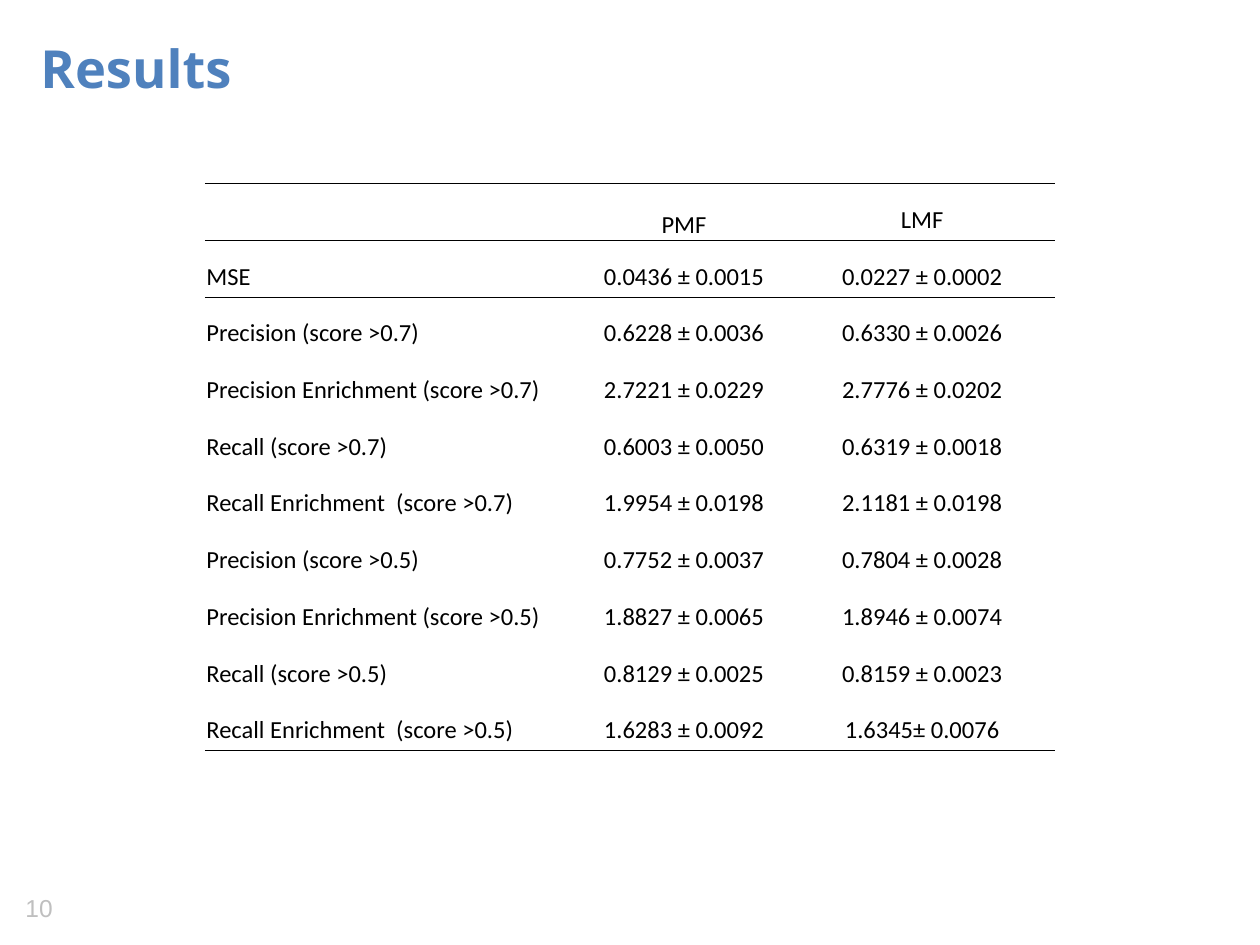
from lxml import etree
from pptx import Presentation
from pptx.dml.color import RGBColor
from pptx.enum.text import MSO_ANCHOR, PP_ALIGN
from pptx.oxml.ns import qn
from pptx.util import Cm, Pt

LEFT, CENTER = PP_ALIGN.LEFT, PP_ALIGN.CENTER
TOP, MIDDLE, BOTTOM = MSO_ANCHOR.TOP, MSO_ANCHOR.MIDDLE, MSO_ANCHOR.BOTTOM
BLUE = RGBColor(0x4F, 0x81, 0xBD)
GREY = RGBColor(0xBF, 0xBF, 0xBF)
BLACK = RGBColor(0, 0, 0)
PLAIN_TABLE_STYLE = "{2D5ABB26-0587-4C30-8999-92F81FD0307C}"

TITLE = "Results"
PAGE_NUMBER = "10"
RESULTS = [
    ("", "PMF", "LMF"),
    ("MSE", "0.0436 ± 0.0015", "0.0227 ± 0.0002"),
    ("Precision (score >0.7)", "0.6228 ± 0.0036", "0.6330 ± 0.0026"),
    ("Precision Enrichment (score >0.7)", "2.7221 ± 0.0229", "2.7776 ± 0.0202"),
    ("Recall (score >0.7)", "0.6003 ± 0.0050", "0.6319 ± 0.0018"),
    ("Recall Enrichment  (score >0.7)", "1.9954 ± 0.0198", "2.1181 ± 0.0198"),
    ("Precision (score >0.5)", "0.7752 ± 0.0037", "0.7804 ± 0.0028"),
    ("Precision Enrichment (score >0.5)", "1.8827 ± 0.0065", "1.8946 ± 0.0074"),
    ("Recall (score >0.5)", "0.8129 ± 0.0025", "0.8159 ± 0.0023"),
    ("Recall Enrichment  (score >0.5)", "1.6283 ± 0.0092", "1.6345± 0.0076"),
]
COLUMN_WIDTHS = [Cm(7.54), Cm(4.24), Cm(5.36)]
ROW_HEIGHT = Cm(1.143)

TITLE_FONT = {"name": "Open Sans", "size": Pt(30), "bold": True}
NUMBER_FONT = {"name": "Arial", "size": Pt(14)}
TABLE_FONT = {"name": "Calibri", "size": Pt(14)}
CELL_MARGINS = {"margin_left": Cm(0.03), "margin_right": Cm(0.03),
                "margin_top": Cm(0.03), "margin_bottom": 0}
NO_MARGINS = dict.fromkeys(CELL_MARGINS, 0)


def set_all(target, values):
    for name, value in values.items():
        setattr(target, name, value)


def write(frame, text, font, color, align, spacing):
    para = frame.paragraphs[0]
    set_all(para, {"alignment": align, "line_spacing": spacing})
    span = para.add_run()
    span.text = text
    set_all(span.font, font)
    span.font.color.rgb = color


def add_rule(cell, side):
    line = etree.SubElement(cell._tc.get_or_add_tcPr(), qn(f"a:{side}"), w=str(Pt(0.5)))
    fill = etree.SubElement(line, qn("a:solidFill"))
    etree.SubElement(fill, qn("a:srgbClr"), val=str(BLACK))


def add_results(page):
    frame = page.shapes.add_table(
        len(RESULTS), len(COLUMN_WIDTHS), Cm(4.13), Cm(3.7),
        sum(COLUMN_WIDTHS), ROW_HEIGHT * len(RESULTS))
    table = frame.table
    set_all(table, {"first_row": False, "horz_banding": False})
    table._tbl.tblPr.find(qn("a:tableStyleId")).text = PLAIN_TABLE_STYLE
    for column, width in zip(table.columns, COLUMN_WIDTHS):
        column.width = width
    last = len(RESULTS) - 1
    for i, values in enumerate(RESULTS):
        table.rows[i].height = ROW_HEIGHT
        for j, text in enumerate(values):
            cell = table.cell(i, j)
            set_all(cell, CELL_MARGINS)
            cell.vertical_anchor = BOTTOM if text == "PMF" else MIDDLE
            if i in (0, 1):
                add_rule(cell, "lnT")
            if i in (0, last):
                add_rule(cell, "lnB")
            cell.fill.background()
            if text:
                write(cell.text_frame, text, TABLE_FONT, BLACK, CENTER if j else LEFT, 1.5)


def main():
    deck = Presentation()
    set_all(deck, {"slide_width": Cm(25.4), "slide_height": Cm(19.05)})
    page = deck.slides.add_slide(deck.slide_layouts[5])

    title = page.shapes.title
    set_all(title, {"left": Cm(0.56), "top": Cm(0.48), "width": Cm(22.86), "height": Cm(1.55)})
    title.text_frame.vertical_anchor = TOP
    write(title.text_frame, TITLE, TITLE_FONT, BLUE, LEFT, 1.1)

    add_results(page)

    number = page.shapes.add_textbox(Cm(0.36), Cm(18.06), Cm(0.86), Cm(0.84))
    set_all(number.text_frame, {"word_wrap": True, **NO_MARGINS})
    write(number.text_frame, PAGE_NUMBER, NUMBER_FONT, GREY, CENTER, 0.9)

    deck.save("out.pptx")


if __name__ == "__main__":
    main()
